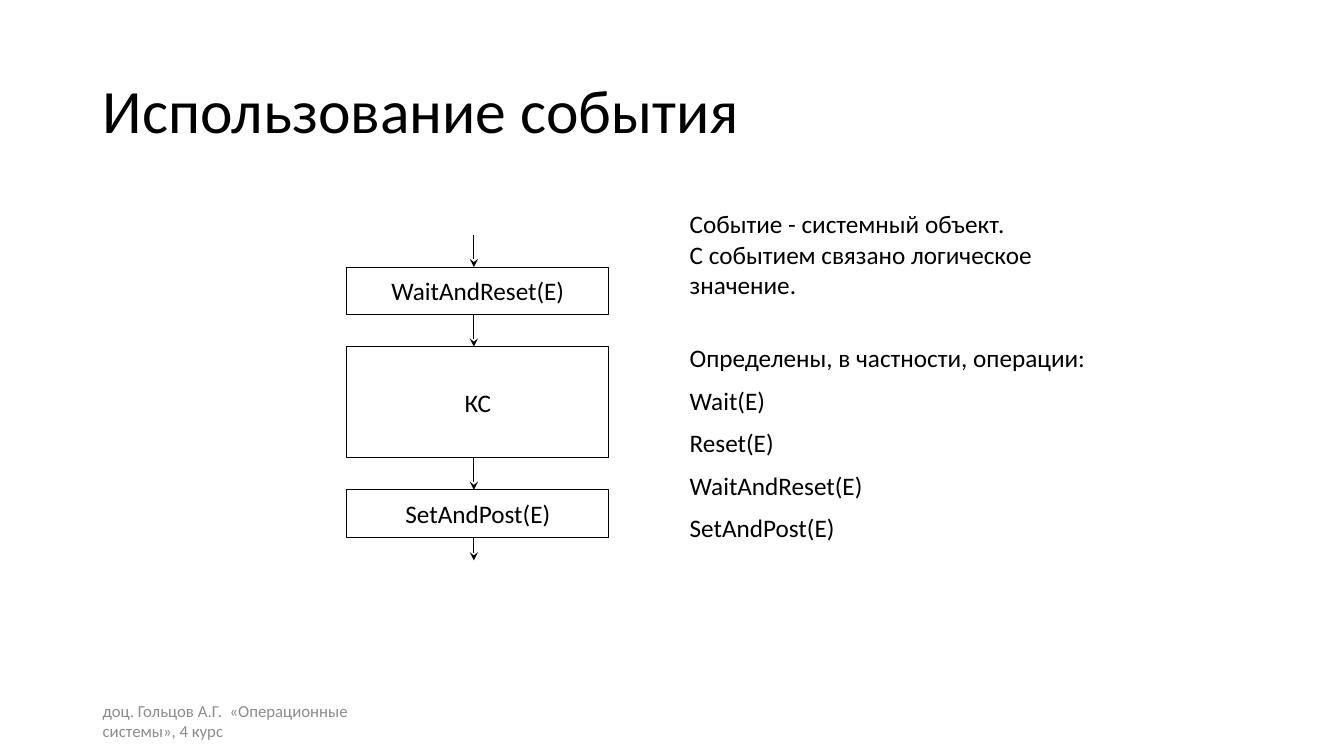
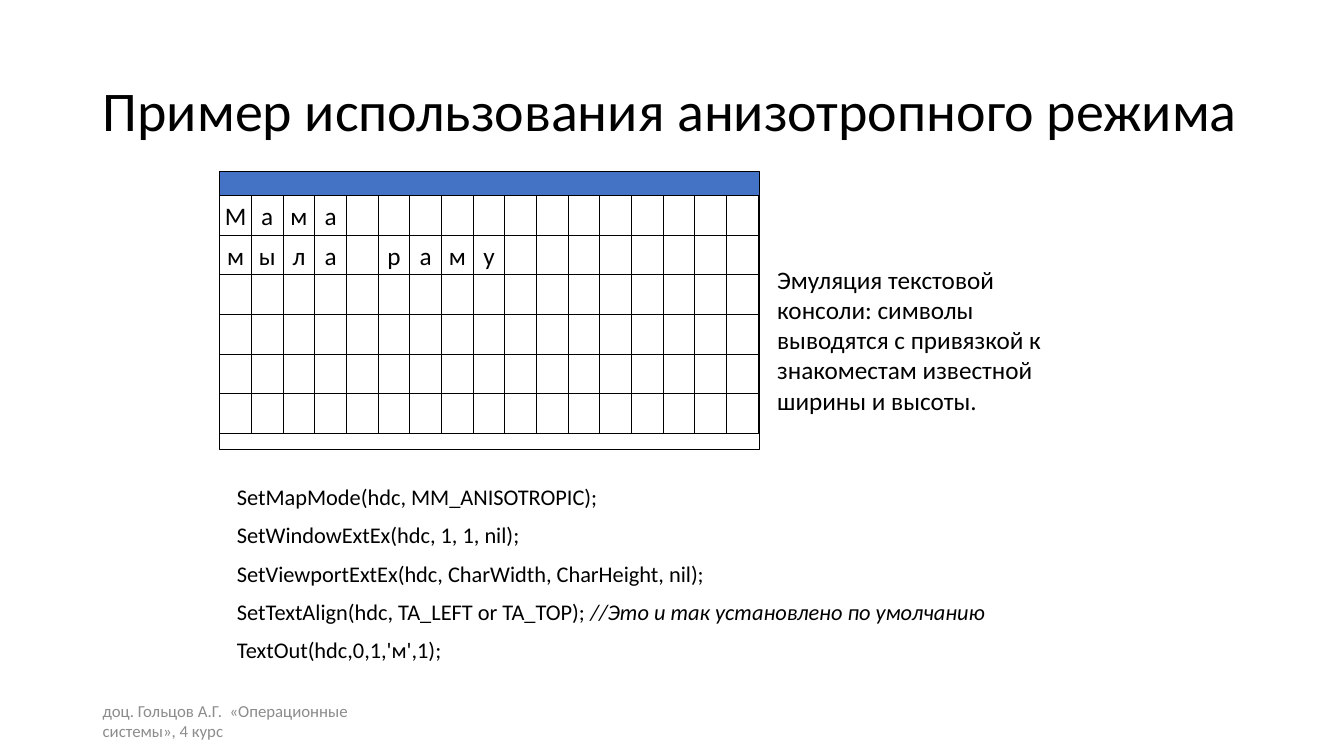
"""Build two lecture slides: using an event and the anisotropic mode."""
from lxml import etree
from pptx import Presentation
from pptx import util as u
from pptx.dml import color
from pptx.enum import shapes, text
from pptx.oxml import ns

FONT = "Calibri"
HUES = {"ink": "000000", "grey": "8C8C8C", "bar": "4472C4", "paper": "FFFFFF"}
LEFT, MID = text.PP_ALIGN.LEFT, text.PP_ALIGN.CENTER
FOOT = "доц. Гольцов А.Г.  «Операционные системы», 4 курс"


def rgb(name):
    """Return the named colour."""
    return color.RGBColor.from_string(HUES[name])


def form(part, vals):
    """Set attributes of an object from a dict."""
    for key, val in vals.items():
        setattr(part, key, val)


def place(box):
    """Turn a box in inches into lengths."""
    return [u.Inches(val) for val in box]


def move(shape, box):
    """Move a shape to a box."""
    form(shape, dict(zip(("left", "top", "width", "height"), place(box))))


def write(shape, lines, size, hue="ink", look=None, gap=0, wrap=True,
          anchor=text.MSO_ANCHOR.MIDDLE):
    """Fill a shape with lines, each a string or a list of (text, italic)."""
    frame = shape.text_frame
    form(frame, {"auto_size": text.MSO_AUTO_SIZE.NONE, "word_wrap": wrap,
                 "vertical_anchor": anchor})
    for num, line in enumerate(lines):
        para = frame.add_paragraph() if num else frame.paragraphs[0]
        form(para, {"alignment": LEFT, "space_before": u.Pt(gap if num else 0),
                    **(look or {})})
        for part, slant in [(line, False)] if isinstance(line, str) else line:
            run = para.add_run()
            run.text = part
            form(run.font, {"name": FONT, "size": u.Pt(size), "italic": slant})
            run.font.color.rgb = rgb(hue)
    return frame.paragraphs


def plain(paras, indent=0):
    """Remove bullets and set a hanging indent."""
    for para in paras:
        props = para._p.get_or_add_pPr()
        props.set("marL", str(u.Inches(indent)))
        props.set("indent", str(-u.Inches(indent)))
        etree.SubElement(props, ns.qn("a:buNone"))


def block(slide, box, label="", fill=None):
    """Draw an outlined rectangle with an optional label."""
    rect = slide.shapes.add_shape(shapes.MSO_SHAPE.RECTANGLE, *place(box))
    rect.shadow.inherit = False
    if fill:
        rect.fill.solid()
        rect.fill.fore_color.rgb = rgb(fill)
    else:
        rect.fill.background()
    rect.line.color.rgb = rgb("ink")
    rect.line.width = u.Pt(0.75)
    if label:
        write(rect, [label], 18, look={"alignment": MID}, wrap=False)


def arrow(slide, x, top, end):
    """Draw a vertical arrow pointing down."""
    link = slide.shapes.add_connector(shapes.MSO_CONNECTOR.STRAIGHT,
                                      *place((x, top, x, end)))
    link.line.color.rgb = rgb("ink")
    link.line.width = u.Pt(0.75)
    etree.SubElement(link.line._get_or_add_ln(), ns.qn("a:tailEnd"), type="stealth")
    etree.SubElement(link._element.spPr, ns.qn("a:effectLst"))


def base(deck, title, size):
    """Add a slide with its title and footer."""
    slide = deck.slides.add_slide(deck.slide_layouts[1])
    head = slide.shapes.title
    move(head, (0.92, 0.4, 11.5, 1.45))
    write(head, [title], size, look={"line_spacing": 0.9})
    foot = slide.shapes.add_textbox(*place((0.92, 6.95, 3, 0.4)))
    write(foot, [FOOT], 12, "grey")
    return slide


def body(slide, box, lines, size, gap, indent=0, look=None):
    """Fill the body placeholder with an unbulleted list."""
    hold = slide.placeholders[1]
    move(hold, box)
    paras = write(hold, lines, size, look=look, gap=gap,
                  anchor=text.MSO_ANCHOR.TOP)
    plain(paras, indent)
    return paras


def flow(slide, box):
    """Draw the chain of steps inside a box."""
    left, top, width, height = box
    axis, step, y = left + 1.26, 0.32, top
    for label, tall in (("WaitAndReset(E)", 0.47), ("КС", 1.1),
                        ("SetAndPost(E)", 0.47)):
        arrow(slide, axis, y, y + step)
        block(slide, (left, y + step, width, tall), label)
        y += step + tall
    arrow(slide, axis, y, top + height)


def screen(slide, box, rows, cols, words):
    """Draw a console window with a grid of character cells."""
    left, top, width, height = box
    bar, rest = 0.24, 0.16
    high, wide = (height - bar - rest) / rows, (width - 0.01) / cols
    block(slide, (left, top, width, bar), fill="bar")
    block(slide, (left, top + bar, width, height - bar), fill="paper")
    for row in range(rows):
        line = words[row] if row < len(words) else ""
        for col, sign in enumerate(line.ljust(cols)):
            spot = (left + col * wide, top + bar + row * high, wide, high)
            block(slide, spot, sign.strip())


def event(deck):
    """Build the slide on using an event."""
    slide = base(deck, "Использование события", 44)
    flow(slide, (3.44, 2.33, 2.6, 3.23))
    paras = body(slide, (6.74, 2.02, 4.41, 4.04), [
        "Событие - системный объект.",
        "С событием связано логическое значение.",
        "Определены, в частности, операции:",
        "Wait(E)", "Reset(E)", "WaitAndReset(E)", "SetAndPost(E)"], 18, 8.8)
    for num, gap in ((1, 0), (2, 30.8)):
        paras[num].space_before = u.Pt(gap)


def mode(deck):
    """Build the slide on the anisotropic mode."""
    slide = base(deck, "Пример использования анизотропного режима", 40)
    body(slide, (2.25, 4.77, 9, 2.05), [
        "SetMapMode(hdc, MM_ANISOTROPIC);",
        "SetWindowExtEx(hdc, 1, 1, nil);",
        "SetViewportExtEx(hdc, CharWidth, CharHeight, nil);",
        [("SetTextAlign(hdc, TA_LEFT or TA_TOP); ", False),
         ("//Это и так установлено по умолчанию", True)],
        "TextOut(hdc,0,1,'м',1);"], 16, 10.2, 0.25, {"line_spacing": 0.9})
    screen(slide, (2.18, 1.7, 5.35, 2.76), 6, 17, ("Мама", "мыла раму"))
    note = slide.shapes.add_textbox(*place((7.61, 2.57, 3.3, 1.62)))
    write(note, ["Эмуляция текстовой консоли: символы выводятся с привязкой "
                 "к знакоместам известной ширины и высоты."], 18,
          anchor=text.MSO_ANCHOR.TOP)


def main():
    """Build and save the deck."""
    deck = Presentation()
    form(deck, {"slide_width": u.Inches(13.33), "slide_height": u.Inches(7.5)})
    event(deck)
    mode(deck)
    deck.save("out.pptx")


if __name__ == "__main__":
    main()
